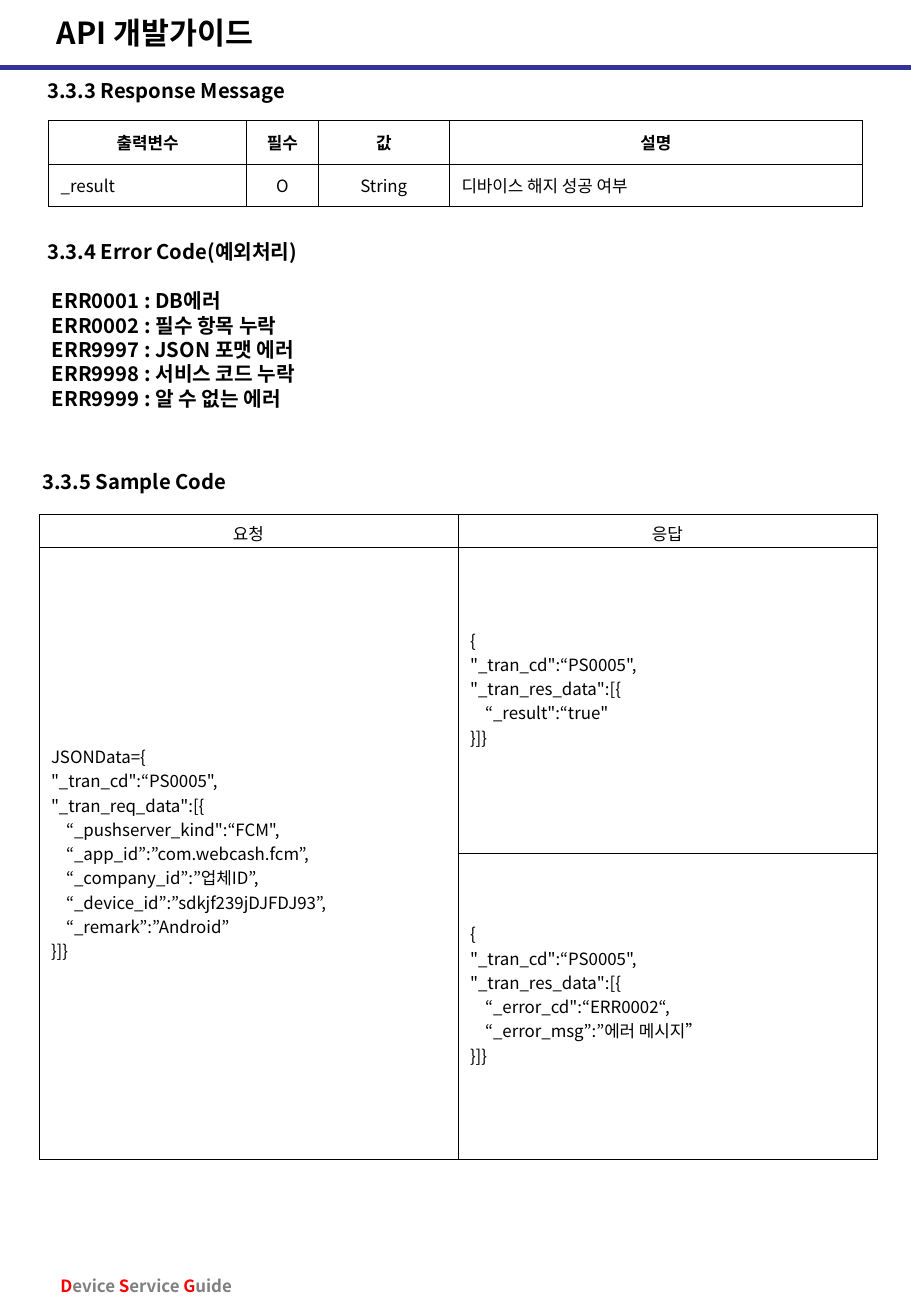
from lxml import etree
from pptx import Presentation
from pptx import util as u
from pptx.dml.color import RGBColor
from pptx.enum import shapes, text
from pptx.oxml import ns

PX = 9144  # 100 px to the inch
FONT = "Noto Sans CJK KR"
BLACK = RGBColor(0, 0, 0)
NAVY = RGBColor(0x33, 0x33, 0x99)
RED = RGBColor(0xFF, 0, 0)
GRAY = RGBColor(0x80, 0x80, 0x80)
LEFT, CENTER = text.PP_ALIGN.LEFT, text.PP_ALIGN.CENTER

ERRORS = [
    "ERR0001 : DB에러",
    "ERR0002 : 필수 항목 누락",
    "ERR9997 : JSON 포맷 에러",
    "ERR9998 : 서비스 코드 누락",
    "ERR9999 : 알 수 없는 에러",
]
REQUEST = """JSONData={
"_tran_cd":“PS0005",
"_tran_req_data":[{
    “_pushserver_kind":“FCM",
    “_app_id”:”com.webcash.fcm”,
    “_company_id”:”업체ID”,
    “_device_id”:”sdkjf239jDJFDJ93”,
    “_remark”:”Android”
}]}"""
SUCCESS = """{
"_tran_cd":“PS0005",
"_tran_res_data":[{
    “_result":“true"
}]}"""
FAILURE = """{
"_tran_cd":“PS0005",
"_tran_res_data":[{
    “_error_cd":“ERR0002“,
    “_error_msg”:”에러 메시지”
}]}"""


def px(n):
    return u.Emu(n * PX)


def write(tf, lines, size=10, bold=False, align=LEFT, spacing=1.2):
    """Fill a text frame; a line is a string or a list of (text, colour)."""
    for i, line in enumerate(lines):
        p = tf.paragraphs[0] if i == 0 else tf.add_paragraph()
        p.alignment = align
        p.line_spacing = u.Pt(size * spacing)
        for words, color in [(line, BLACK)] if isinstance(line, str) else line:
            r = p.add_run()
            r.text = words
            r.font.size = u.Pt(size)
            r.font.bold = bold
            r.font.color.rgb = color
            r.font.name = FONT
            ea = etree.SubElement(r._r.get_or_add_rPr(), ns.qn("a:ea"))
            ea.set("typeface", FONT)


def add_text(s, x, y, w, h, lines, wrap=True, **fmt):
    tf = s.shapes.add_textbox(px(x), px(y), px(w), px(h)).text_frame
    tf.word_wrap = wrap
    write(tf, lines, bold=True, **fmt)


def add_rule(s, y, width):
    line = s.shapes.add_connector(
        shapes.MSO_CONNECTOR.STRAIGHT, 0, px(y), px(width), px(y))
    line.line.color.rgb = NAVY
    line.line.width = u.Pt(3)
    etree.SubElement(line._element.spPr, ns.qn("a:effectLst"))


def add_grid(s, x, y, cols, rows):
    """Add a table of plain cells with thin black borders."""
    table = s.shapes.add_table(len(rows), len(cols), px(x), px(y),
                               px(sum(cols)), px(sum(rows))).table
    table.first_row = table.horz_banding = False
    for col, w in zip(table.columns, cols):
        col.width = px(w)
    for row, h in zip(table.rows, rows):
        row.height = px(h)
    for cell in table.iter_cells():
        tc_pr = cell._tc.get_or_add_tcPr()
        for side in "LRTB":
            ln = etree.SubElement(tc_pr, ns.qn(f"a:ln{side}"), w=str(u.Pt(0.45)))
            fill = etree.SubElement(ln, ns.qn("a:solidFill"))
            etree.SubElement(fill, ns.qn("a:srgbClr"), val=str(BLACK))
        cell.fill.background()
    return table


def fill_cell(cell, words, top=5, bottom=5, **fmt):
    cell.vertical_anchor = text.MSO_ANCHOR.MIDDLE
    cell.margin_top, cell.margin_bottom = px(top), px(bottom)
    write(cell.text_frame, words.split("\n"), **fmt)


def add_response_table(s):
    table = add_grid(s, 40, 99, [163, 59, 108, 340], [36, 35])
    columns = [("출력변수", "_result", LEFT), ("필수", "O", CENTER),
               ("값", "String", CENTER), ("설명", "디바이스 해지 성공 여부", LEFT)]
    for c, (head, value, align) in enumerate(columns):
        fill_cell(table.cell(0, c), head, top=7, bottom=4, bold=True, align=CENTER)
        fill_cell(table.cell(1, c), value, top=7, bottom=4, align=align)


def add_sample_table(s):
    table = add_grid(s, 32, 424, [345, 345], [27, 252, 252])
    table.cell(1, 0).merge(table.cell(2, 0))
    for c, head in enumerate(["요청", "응답"]):
        fill_cell(table.cell(0, c), head, top=8, bottom=2, align=CENTER)
    fill_cell(table.cell(1, 0), REQUEST, spacing=1.44)
    for row, code in enumerate([SUCCESS, FAILURE], 1):
        fill_cell(table.cell(row, 1), code, bottom=25, spacing=1.44)


def main():
    prs = Presentation()
    prs.slide_width, prs.slide_height = px(750), px(1084)
    s = prs.slides.add_slide(prs.slide_layouts[6])

    add_rule(s, 56, 750)
    add_text(s, 37, 7, 686, 40, ["API 개발가이드"], size=18)
    add_text(s, 29, 60, 694, 30, ["3.3.3 Response Message"], size=12)
    add_response_table(s)
    add_text(s, 29, 192, 694, 30, ["3.3.4 Error Code(예외처리)"], size=12)
    add_text(s, 33, 233, 690, 110, ERRORS, size=12)
    add_text(s, 25, 382, 690, 30, ["3.3.5 Sample Code"], size=12)
    add_sample_table(s)
    footer = [("D", RED), ("evice ", GRAY), ("S", RED),
              ("ervice ", GRAY), ("G", RED), ("uide", GRAY)]
    add_text(s, 40, 1046, 176, 27, [footer], wrap=False)
    prs.save("out.pptx")


if __name__ == "__main__":
    main()
